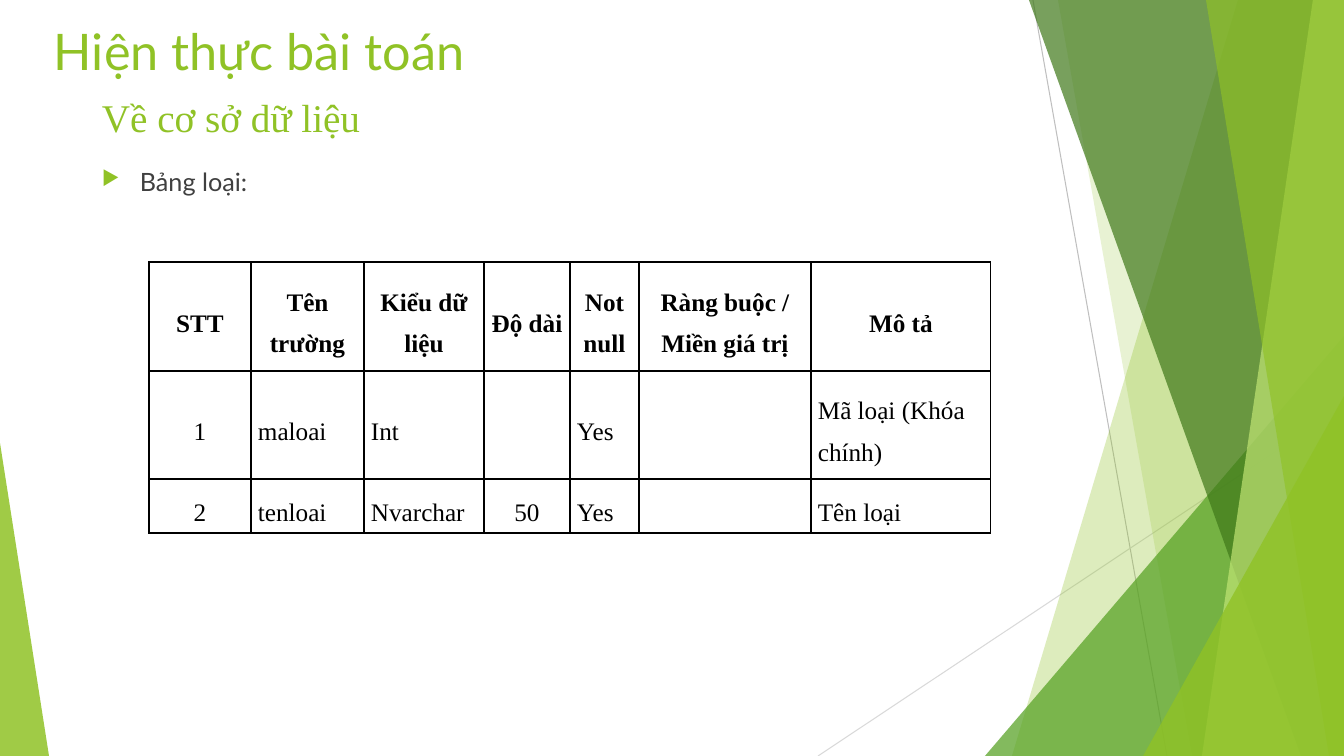
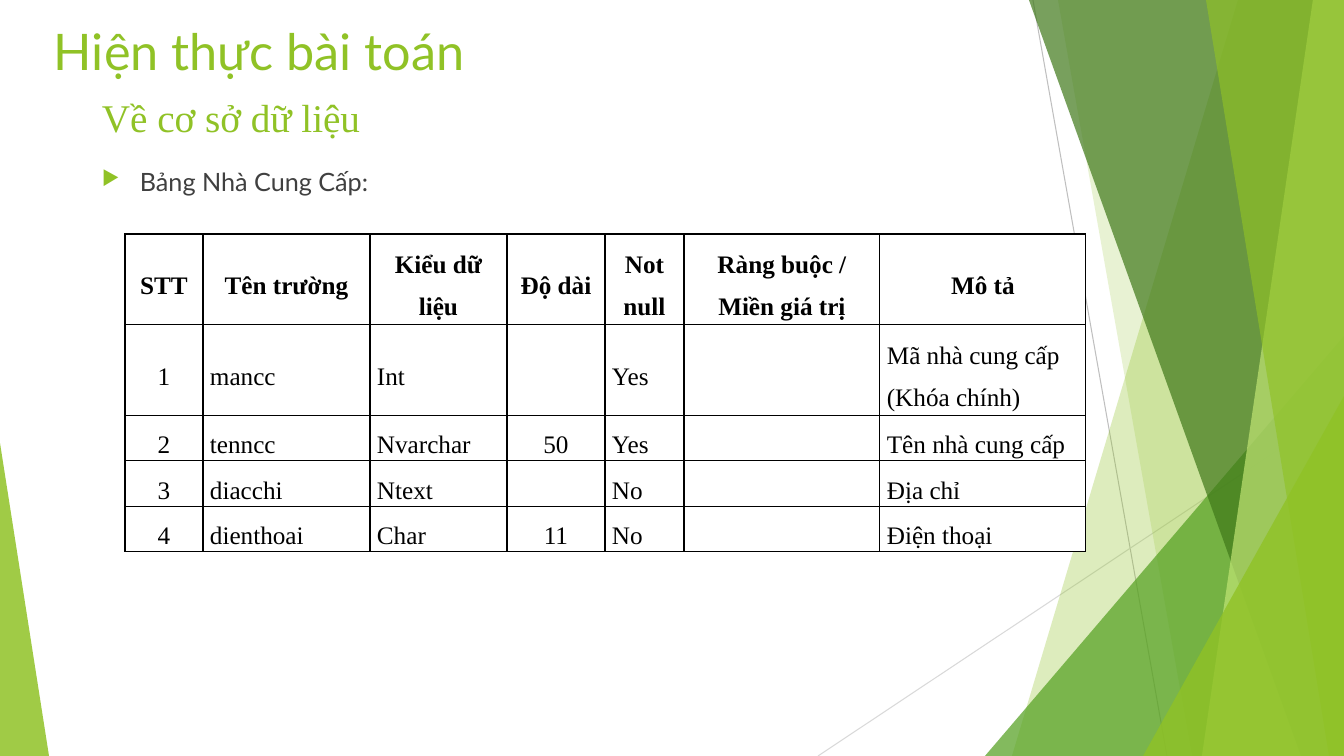
import pptx
import pptx.dml.color
import pptx.enum.shapes
import pptx.enum.text
import pptx.oxml
import pptx.oxml.ns
import pptx.util

EMU_PER_PX = 914400 / 100.8
SLIDE_WIDTH, SLIDE_HEIGHT = 1344, 756

COLOURS = {
    "lime": "90C226",
    "green": "54A021",
    "forest": "3F7819",
    "pale": "C0E474",
    "grey": "BFBFBF",
    "silver": "D9D9D9",
    "body": "404040",
    "black": "000000",
    "white": "FFFFFF",
}
HEADING_FONT, TABLE_FONT = "Lato", "Times New Roman"

TITLE_BOX = (44, 15, 948, 145)
SUBTITLE_BOX = (92, 88, 948, 145)
BODY_BOX = (92, 161, 948, 483)
FACET_BOX = (818, 0, 526, 756)
WEDGE_BOX = (0, 443, 49, 313)

FACET_LINES = [
    ((215, 0), (349, 756), "grey"),
    ((526, 406), (0, 756), "silver"),
]
FACETS = [
    ("band", 420, 194, "lime", 30),
    ("band", 240, 374, "lime", 20),
    ("corner", 167, 336, "green", 72),
    ("band", 211, 483, "forest", 70),
    ("band", 495, 384, "pale", 70),
    ("band", 388, 511, "lime", 65),
    ("corner", 325, 396, "lime", 80),
]

HEADER = ["STT", "Tên trường", "Kiểu dữ liệu", "Độ dài", "Not null",
          "Ràng buộc / Miền giá trị", "Mô tả"]
CENTRED_COLUMNS = (0, 3)

SLIDES = [
    {
        "caption": "Bảng loại:",
        "origin": (149, 262),
        "columns": [102, 113, 120, 86, 69, 172, 180],
        "rows": [109, 108, 54],
        "records": [
            ["1", "maloai", "Int", "", "Yes", "", "Mã loại (Khóa chính)"],
            ["2", "tenloai", "Nvarchar", "50", "Yes", "", "Tên loại"],
        ],
    },
    {
        "caption": "Bảng Nhà Cung Cấp:",
        "origin": (125, 234),
        "columns": [78, 167, 137, 98, 79, 196, 206],
        "rows": [84, 83, 42, 42, 42],
        "records": [
            ["1", "mancc", "Int", "", "Yes", "", "Mã nhà cung cấp (Khóa chính)"],
            ["2", "tenncc", "Nvarchar", "50", "Yes", "", "Tên nhà cung cấp"],
            ["3", "diacchi", "Ntext", "", "No", "", "Địa chỉ"],
            ["4", "dienthoai", "Char", "11", "No", "", "Điện thoại"],
        ],
    },
]


def px(*lengths):
    """Turn pixel lengths into a list of EMU lengths."""
    return [pptx.util.Emu(round(length * EMU_PER_PX)) for length in lengths]


def rgb(name):
    """Return the named colour."""
    return pptx.dml.color.RGBColor.from_string(COLOURS[name])


def add_xml(parent, markup):
    """Append an element of the drawing namespace to the parent."""
    tag, separator, rest = markup.partition(" ")
    namespace = pptx.oxml.ns.nsdecls("a")
    parent.append(pptx.oxml.parse_xml(f"<a:{tag} {namespace} {rest}"))


def paint(shape, colour, opacity):
    """Give a shape a translucent fill without outline or shadow."""
    shape.shadow.inherit = False
    shape.line.fill.background()
    shape.fill.solid()
    shape.fill.fore_color.rgb = rgb(colour)
    solid_fill = shape.element.spPr.find(pptx.oxml.ns.qn("a:solidFill"))
    add_xml(solid_fill[0], f'alpha val="{opacity * 1000}"/>')


def add_run(paragraph, text, size, font, colour, bold=False):
    """Add one styled run to a paragraph."""
    run = paragraph.add_run()
    run.text = text
    run.font.size = pptx.util.Pt(size)
    run.font.name = font
    run.font.bold = bold
    run.font.color.rgb = rgb(colour)


def add_text(slide, box, text, size, font, colour, bullet=False):
    """Place a line of text in a box, with an optional arrow bullet."""
    frame = slide.shapes.add_textbox(*px(*box)).text_frame
    frame.word_wrap = True
    paragraph = frame.paragraphs[0]
    if bullet:
        indent = px(38)[0]
        properties = paragraph._p.get_or_add_pPr()
        properties.set("marL", str(indent))
        properties.set("indent", str(-indent))
        add_xml(properties, f'buClr ><a:srgbClr val="{COLOURS["lime"]}"/></a:buClr>')
        add_xml(properties, 'buSzPct val="80000"/>')
        add_xml(properties, 'buChar char="▶"/>')
    add_run(paragraph, text, size, font, colour)


def add_triangle(slide, box, apex, colour, opacity):
    """Fill a box with a right triangle whose apex is at 0 or 1."""
    triangle = slide.shapes.add_shape(
        pptx.enum.shapes.MSO_SHAPE.ISOSCELES_TRIANGLE, *px(*box))
    triangle.adjustments[0] = apex
    paint(triangle, colour, opacity)


def add_facets(slide, box):
    """Draw the crossing lines and the layered green facets in a box."""
    left, top, width, height = box
    right, bottom = left + width, top + height
    for (x1, y1), (x2, y2), colour in FACET_LINES:
        line = slide.shapes.add_connector(
            pptx.enum.shapes.MSO_CONNECTOR.STRAIGHT,
            *px(left + x1, top + y1, left + x2, top + y2))
        line.line.color.rgb = rgb(colour)
        line.line.width = pptx.util.Pt(0.75)
        add_xml(line.element.spPr, "effectLst />")
    for kind, first, second, colour, opacity in FACETS:
        if kind == "corner":
            corner = (left + first, top + second, width - first, height - second)
            add_triangle(slide, corner, 1, colour, opacity)
        else:
            builder = slide.shapes.build_freeform(left + first, top, scale=EMU_PER_PX)
            builder.add_line_segments(
                [(right, top), (right, bottom), (left + second, bottom)])
            paint(builder.convert_to_shape(), colour, opacity)


def style_cell(cell):
    """Give a table cell its borders, fill and margins."""
    properties = cell._tc.get_or_add_tcPr()
    for side in "LRTB":
        add_xml(properties, f'ln{side} w="12700"><a:solidFill><a:srgbClr '
                            f'val="{COLOURS["black"]}"/></a:solidFill></a:ln{side}>')
    cell.fill.solid()
    cell.fill.fore_color.rgb = rgb("white")
    cell.vertical_anchor = pptx.enum.text.MSO_ANCHOR.MIDDLE
    cell.margin_left = cell.margin_right = px(7)[0]
    cell.margin_top = cell.margin_bottom = 0


def add_field_table(slide, origin, columns, rows, records):
    """Draw a table of database fields from its top left corner."""
    box = (*origin, sum(columns), sum(rows))
    table = slide.shapes.add_table(len(rows), len(columns), *px(*box)).table
    table.first_row = table.horz_banding = False
    for column, width in zip(table.columns, px(*columns)):
        column.width = width
    for row, height in zip(table.rows, px(*rows)):
        row.height = height
    for row_index, texts in enumerate([HEADER, *records]):
        is_header = row_index == 0
        for column_index, text in enumerate(texts):
            cell = table.cell(row_index, column_index)
            style_cell(cell)
            if not text:
                continue
            paragraph = cell.text_frame.paragraphs[0]
            paragraph.line_spacing = 1.5
            if is_header or column_index in CENTRED_COLUMNS:
                paragraph.alignment = pptx.enum.text.PP_ALIGN.CENTER
            add_run(paragraph, text, 18, TABLE_FONT, "black", is_header)


def add_table_slide(presentation, caption, **table):
    """Add a slide with headings, a caption and a table of fields."""
    slide = presentation.slides.add_slide(presentation.slide_layouts[6])
    add_facets(slide, FACET_BOX)
    add_triangle(slide, WEDGE_BOX, 0, "lime", 85)
    add_text(slide, TITLE_BOX, "Hiện thực bài toán", 36, HEADING_FONT, "lime")
    add_text(slide, BODY_BOX, caption, 18, HEADING_FONT, "body", bullet=True)
    add_text(slide, SUBTITLE_BOX, "Về cơ sở dữ liệu", 28, TABLE_FONT, "lime")
    add_field_table(slide, **table)


def main():
    """Build and save the presentation."""
    presentation = pptx.Presentation()
    presentation.slide_width, presentation.slide_height = px(SLIDE_WIDTH, SLIDE_HEIGHT)
    for content in SLIDES:
        add_table_slide(presentation, **content)
    presentation.save("out.pptx")


if __name__ == "__main__":
    main()
